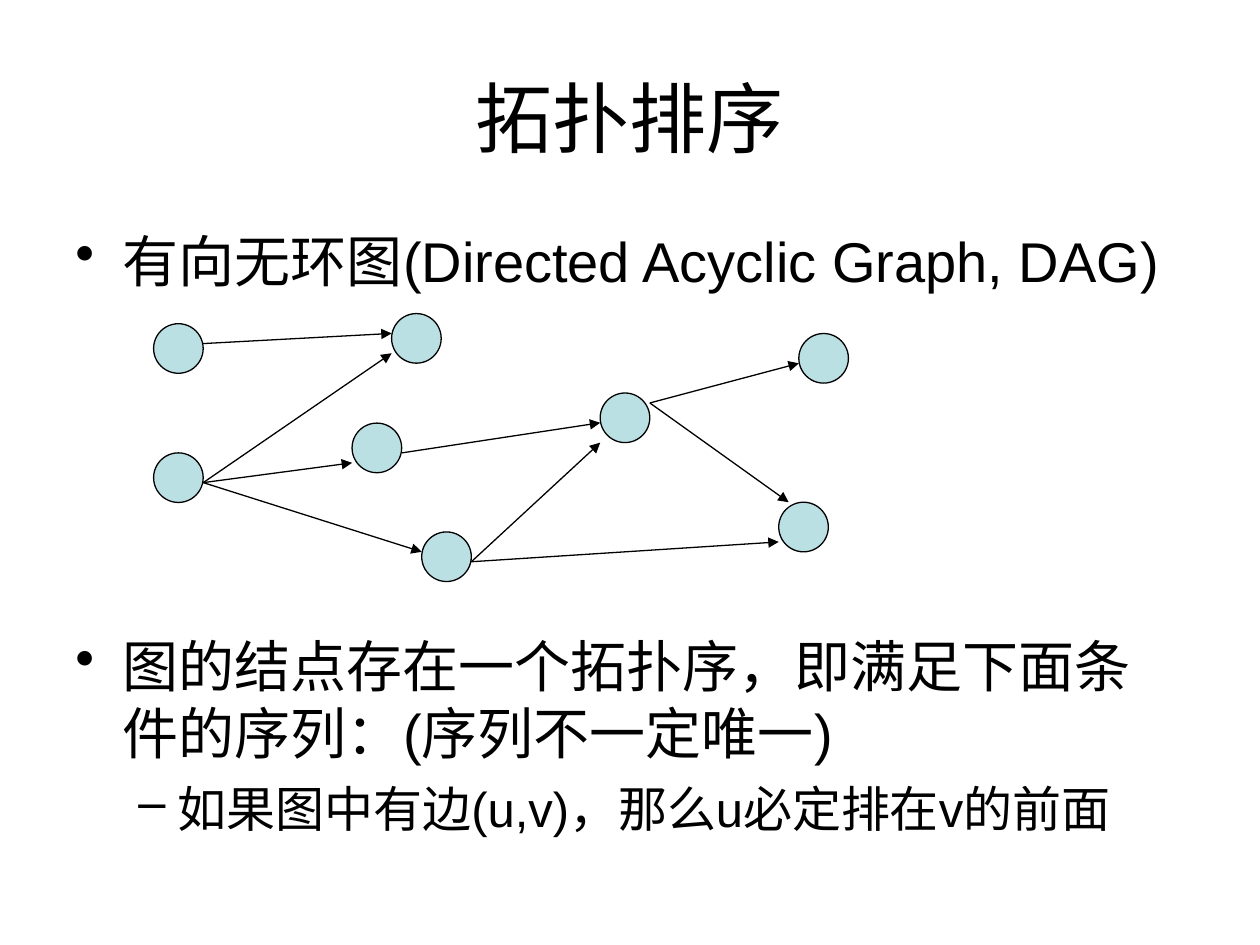
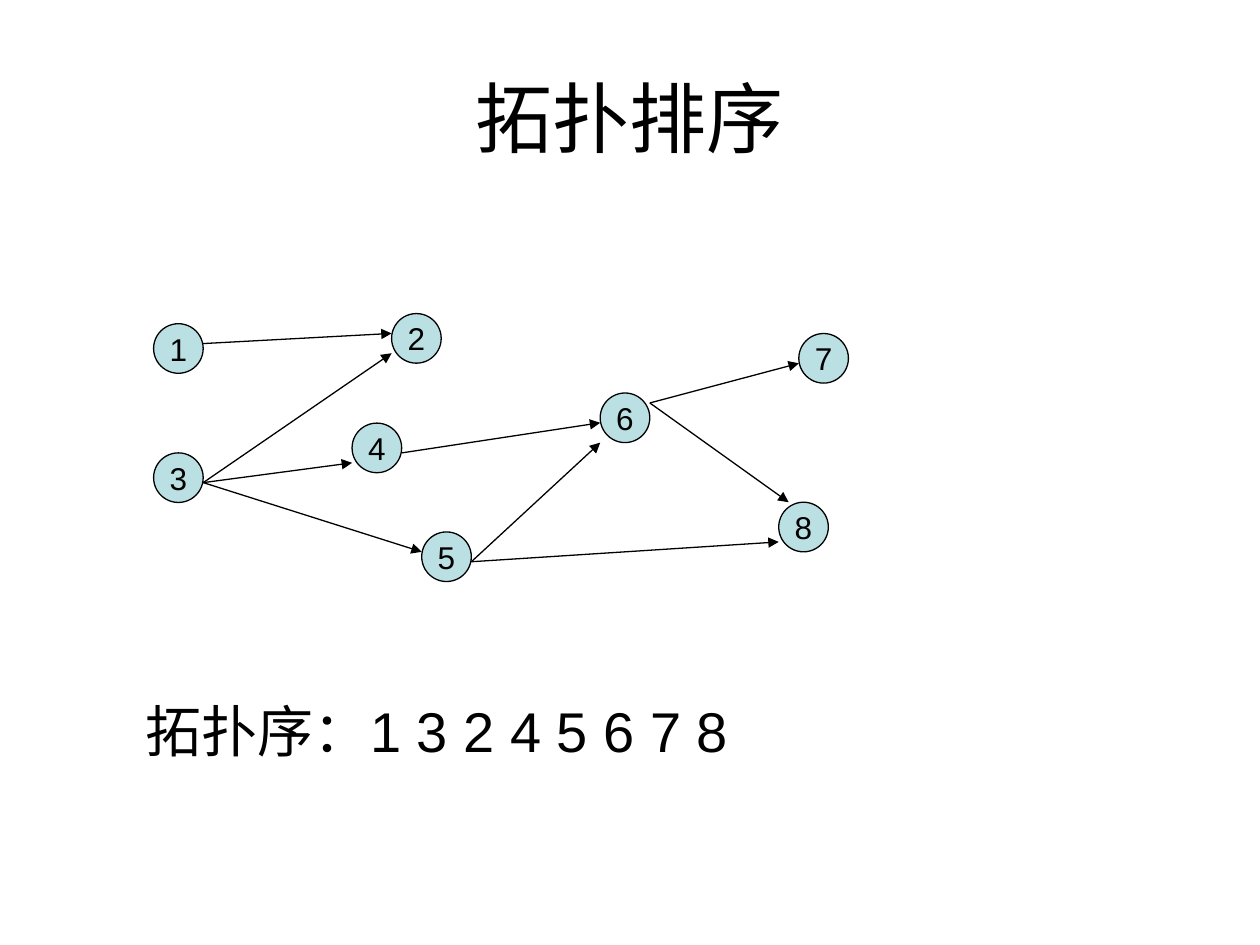
from lxml import etree
from pptx import Presentation
from pptx.dml.color import RGBColor
from pptx.enum import shapes, text
from pptx.oxml.ns import qn
from pptx.util import Pt

FONT, INK, NODE_FILL = "Arial", "000000", "BBE0E3"
NODE_SIZE = 28.35

TITLE = "拓扑排序"
TITLE_BOX = (36, 21.6, 648, 90)
BODY_BOX = (36, 126, 648, 356.4)
ORDER_BOX = (76.3, 394.6, 391, 46)

# the second point leaves room above it for the graph
POINTS = [
    dict(content="有向无环图(Directed Acyclic Graph, DAG)",
         size=32, bullet="•", margin=27, hang=27),
    dict(content="图的结点存在一个拓扑序，即满足下面条件的序列：(序列不一定唯一)",
         size=32, bullet="•", margin=27, hang=27, before=193),
    dict(content="如果图中有边(u,v)，那么u必定排在v的前面",
         size=28, bullet="–", margin=58.5, hang=22.5, level=1, before=7),
]
ORDER = "拓扑序：1 3 2 4 5 6 7 8"

# left and top of each node
NODES = {
    1: (87.8, 185), 2: (223.8, 179.2), 3: (87.8, 258.8), 4: (201.2, 241.8),
    5: (241, 304), 6: (343, 224.6), 7: (456.5, 190.6), 8: (445, 287),
}
# height at which edges leave a node's right side, in parts of its size
EXITS = {1: 0.4, 3: 0.6, 4: 0.6, 5: 0.6, 6: 0.2}
# from, to, and the arrival point (x, y) in parts of the target's size
EDGES = [
    (1, 2, (0, 0.4)), (3, 2, (0, 0.8)), (3, 4, (0, 0.8)), (3, 5, (0, 0.4)),
    (4, 6, (0, 0.6)), (5, 6, (0, 1)), (5, 8, (0, 0.8)),
    (6, 7, (0, 0.6)), (6, 8, (0.2, 0)),
]


def color(value):
    return RGBColor.from_string(value)


def points(values):
    return [Pt(value) for value in values]


def write(paragraph, content, size, align=text.PP_ALIGN.LEFT, bullet=None,
          margin=0, hang=0, level=0, before=0):
    paragraph.alignment = align
    paragraph.level = level
    paragraph.space_before = Pt(before)
    if bullet:
        props = paragraph._p.get_or_add_pPr()
        props.set("marL", str(Pt(margin)))
        props.set("indent", str(-Pt(hang)))
        etree.SubElement(props, qn("a:buChar")).set("char", bullet)
    run = paragraph.add_run()
    run.text = content
    run.font.name = FONT
    run.font.size = Pt(size)
    run.font.color.rgb = color(INK)


def add_text_box(slide, box, paragraphs, anchor=text.MSO_ANCHOR.TOP):
    frame = slide.shapes.add_textbox(*points(box)).text_frame
    frame.word_wrap = True
    frame.vertical_anchor = anchor
    for index, paragraph in enumerate(paragraphs):
        target = frame.add_paragraph() if index else frame.paragraphs[0]
        write(target, **paragraph)


def add_node(slide, corner, label=None):
    node = slide.shapes.add_shape(
        shapes.MSO_SHAPE.OVAL, *points((*corner, NODE_SIZE, NODE_SIZE)))
    node.shadow.inherit = False
    node.fill.solid()
    node.fill.fore_color.rgb = color(NODE_FILL)
    node.line.color.rgb = color(INK)
    node.line.width = Pt(0.75)
    if label:
        node.text_frame.word_wrap = False
        node.text_frame.vertical_anchor = text.MSO_ANCHOR.MIDDLE
        write(node.text_frame.paragraphs[0], label, 18,
              align=text.PP_ALIGN.CENTER)


def point_on(node, across, down):
    left, top = NODES[node]
    return left + across * NODE_SIZE, top + down * NODE_SIZE


def add_edge(slide, start, end):
    edge = slide.shapes.add_connector(
        shapes.MSO_CONNECTOR.STRAIGHT, *points((*start, *end)))
    edge.line.color.rgb = color(INK)
    edge.line.width = Pt(0.75)
    etree.SubElement(edge.line._get_or_add_ln(), qn("a:tailEnd")).set(
        "type", "triangle")
    etree.SubElement(edge._element.spPr, qn("a:effectLst"))


def add_graph(slide, numbered):
    for number, corner in NODES.items():
        add_node(slide, corner, str(number) if numbered else None)
    for source, target, arrival in EDGES:
        add_edge(slide, point_on(source, 1, EXITS[source]),
                 point_on(target, *arrival))


def add_titled_slide(deck):
    slide = deck.slides.add_slide(deck.slide_layouts[6])
    add_text_box(slide, TITLE_BOX,
                 [dict(content=TITLE, size=44, align=text.PP_ALIGN.CENTER)],
                 anchor=text.MSO_ANCHOR.MIDDLE)
    return slide


def main():
    deck = Presentation()
    deck.slide_width, deck.slide_height = Pt(720), Pt(540)

    definition = add_titled_slide(deck)
    add_text_box(definition, BODY_BOX, POINTS)
    add_graph(definition, numbered=False)

    example = add_titled_slide(deck)
    add_graph(example, numbered=True)
    add_text_box(example, ORDER_BOX, [dict(content=ORDER, size=32)])

    deck.save("out.pptx")


if __name__ == "__main__":
    main()
